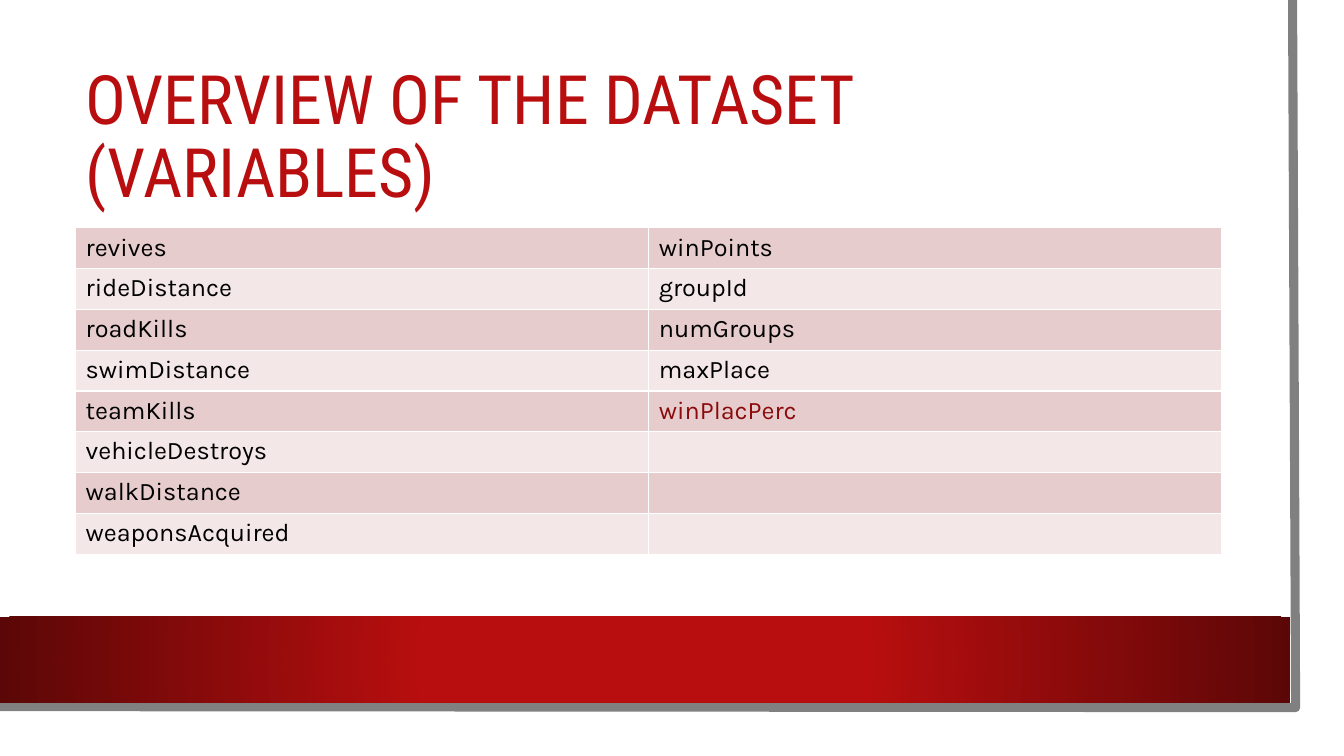
from itertools import zip_longest

from pptx import Presentation
from pptx.dml.color import RGBColor
from pptx.enum.shapes import MSO_SHAPE
from pptx.enum.text import MSO_ANCHOR, MSO_AUTO_SIZE
from pptx.oxml import parse_xml
from pptx.oxml.ns import nsdecls
from pptx.util import Inches, Pt

RED, DARK_RED, ACCENT_RED = "B80E0F", "5C0707", "8A0A0B"
WHITE, BLACK, GRAY = "FFFFFF", "000000", "808080"
ROW_FILLS = ("E6CCCC", "F3E7E7")
LEFT_VARIABLES = ["revives", "rideDistance", "roadKills", "swimDistance",
                  "teamKills", "vehicleDestroys", "walkDistance", "weaponsAcquired"]
RIGHT_VARIABLES = ["winPoints", "groupId", "numGroups", "maxPlace", "winPlacPerc"]
TARGET_VARIABLE = "winPlacPerc"


def color(value):
    return RGBColor.from_string(value)


def write_text(text_frame, text, *, size, font, fill, line_spacing=None):
    paragraph = text_frame.paragraphs[0]
    paragraph.line_spacing = line_spacing
    run = paragraph.add_run()
    run.text = text
    run.font.size = Pt(size)
    run.font.name = font
    run.font.color.rgb = color(fill)


def add_rectangle(slide, left, top, width, height, fill):
    shape = slide.shapes.add_shape(
        MSO_SHAPE.RECTANGLE, Inches(left), Inches(top), Inches(width), Inches(height))
    shape.shadow.inherit = False
    shape.line.fill.background()
    shape.fill.solid()
    shape.fill.fore_color.rgb = color(fill)
    return shape


def set_radial_gradient(shape, inner, outer):
    gradient = parse_xml(
        f'<a:gradFill {nsdecls("a")} rotWithShape="1"><a:gsLst>'
        f'<a:gs pos="34000"><a:srgbClr val="{inner}"/></a:gs>'
        f'<a:gs pos="100000"><a:srgbClr val="{outer}"/></a:gs></a:gsLst>'
        '<a:path path="circle"><a:fillToRect l="50000" t="50000" r="50000" b="50000"/>'
        '</a:path></a:gradFill>')
    properties = shape._element.spPr
    properties.replace(properties.find(".//{*}solidFill"), gradient)


def add_frame(slide, left, top, width, height):
    """Draw the white page, its gray edge and the red band at its foot."""
    add_rectangle(slide, left, top, width, height, WHITE)
    builder = slide.shapes.build_freeform(
        Inches(left + 12.82), Inches(top))
    builder.add_line_segments(
        [(Inches(left + 12.85), Inches(top + 7.02)),
         (Inches(left - 0.03), Inches(top + 7.01))], close=False)
    edge = builder.convert_to_shape()
    edge.shadow.inherit = False
    edge.fill.background()
    edge.line.color.rgb = color(GRAY)
    edge.line.width = Pt(6.5)
    band = add_rectangle(slide, left, top + 6.12, 12.8, 0.85, RED)
    set_radial_gradient(band, RED, DARK_RED)


def place_title(slide, left, top, width, height, text):
    title = slide.shapes.title
    slide.shapes._spTree.append(title._element)  # in front of the frame
    title.left, title.top = Inches(left), Inches(top)
    title.width, title.height = Inches(width), Inches(height)
    text_frame = title.text_frame
    text_frame.word_wrap = True
    text_frame.auto_size = MSO_AUTO_SIZE.NONE
    text_frame.vertical_anchor = MSO_ANCHOR.MIDDLE
    text_frame.margin_right = Inches(0.2)
    write_text(text_frame, text, size=48.6, font="Roboto Condensed", fill=RED,
               line_spacing=0.9)
    text_frame.paragraphs[0].alignment = 1


def format_cell(cell, fill):
    properties = cell._tc.get_or_add_tcPr()
    for side in ("lnL", "lnR", "lnT", "lnB"):
        properties.append(parse_xml(
            f'<a:{side} {nsdecls("a")} w="12700"><a:solidFill>'
            f'<a:srgbClr val="{WHITE}"/></a:solidFill></a:{side}>'))
    cell.fill.solid()
    cell.fill.fore_color.rgb = color(fill)


def add_variable_table(slide, left, top, width, height):
    rows = list(zip_longest(LEFT_VARIABLES, RIGHT_VARIABLES, fillvalue=""))
    table = slide.shapes.add_table(
        len(rows), 2, Inches(left), Inches(top), Inches(width), Inches(height)).table
    table.first_row = False
    table.horz_banding = False
    for row_index, names in enumerate(rows):
        for column_index, name in enumerate(names):
            cell = table.cell(row_index, column_index)
            format_cell(cell, ROW_FILLS[row_index % 2])
            if name:
                write_text(cell.text_frame, name, size=18, font="Karla",
                           fill=ACCENT_RED if name == TARGET_VARIABLE else BLACK)


def main():
    presentation = Presentation()
    presentation.slide_width = Inches(13.33)
    presentation.slide_height = Inches(7.5)
    slide = presentation.slides.add_slide(presentation.slide_layouts[5])
    add_frame(slide, 0, 0, 13.1, 7.27)
    place_title(slide, 0.75, 0.75, 11.37, 1.26, "OVERVIEW OF THE DATASET (VARIABLES)")
    add_variable_table(slide, 0.75, 2.26, 11.37, 3.24)
    presentation.save("out.pptx")


if __name__ == "__main__":
    main()
